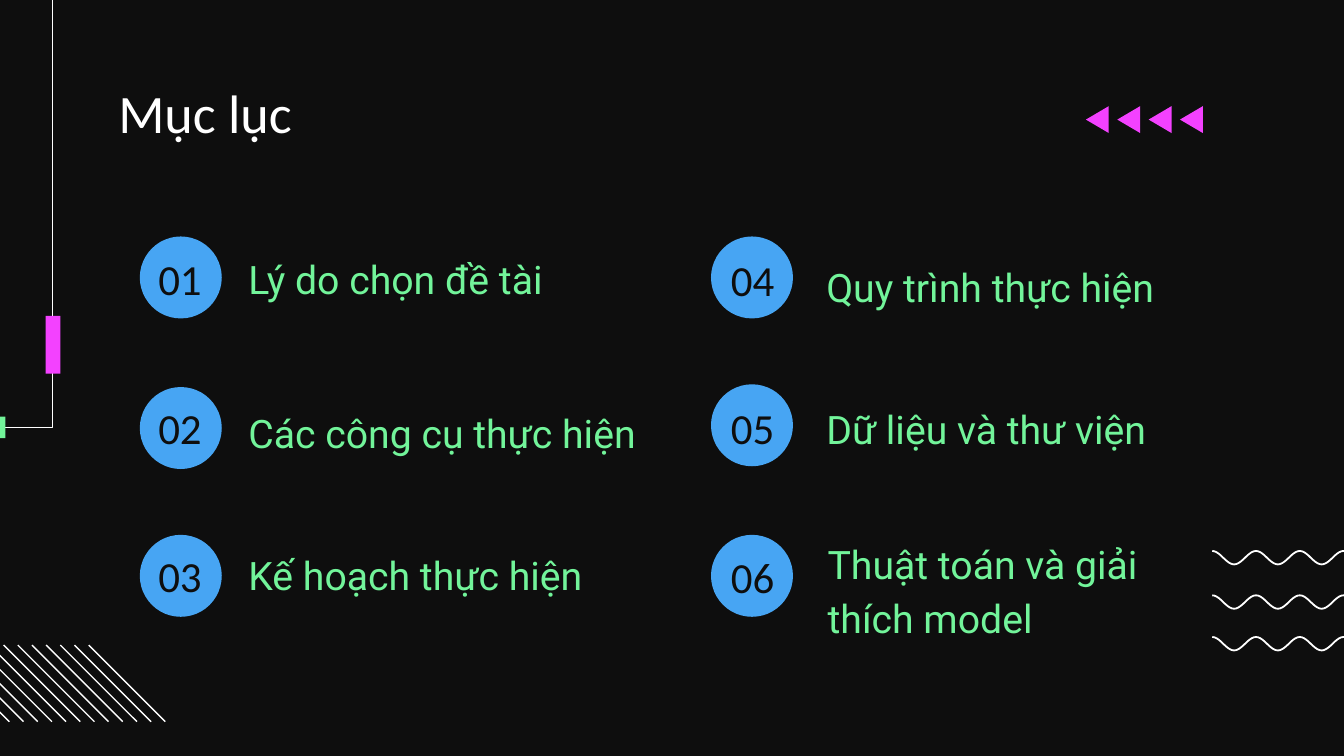
import math

from lxml import etree
from pptx import Presentation
from pptx.dml.color import RGBColor
from pptx.enum import shapes, text
from pptx.oxml.ns import qn
from pptx.util import Inches, Pt

COLORS = {
    "dark": "0E0E0E",
    "white": "FFFFFF",
    "blue": "47A5F3",
    "green": "72F49A",
    "pink": "F341FF",
}

TITLE = "Mục lục"
# number, topic, column, circle top, number top, topic left, topic top
TOPICS = [
    ("01", "Lý do chọn đề tài", 0, 1.76, 1.68, 1.75, 1.85),
    ("02", "Các công cụ thực hiện", 0, 2.88, 2.79, 1.75, 2.99),
    ("03", "Kế hoạch thực hiện", 0, 3.98, 3.89, 1.75, 4.05),
    ("04", "Quy trình thực hiện", 1, 1.76, 1.69, 6.05, 1.91),
    ("05", "Dữ liệu và thư viện", 1, 2.86, 2.79, 6.05, 2.96),
    ("06", "Thuật toán và giải thích model", 1, 3.98, 3.90, 6.06, 3.97),
]
CIRCLE_LEFTS = [1.04, 5.29]
NUMBER_LEFTS = [0.89, 5.15]
CIRCLE_SIZE = 0.61

WAVE_TOPS = [4.1, 4.43, 4.74]
WAVE_LEFT, WAVE_WIDTH, WAVE_HEIGHT = 9.02, 1.14, 0.1
HALF_WAVES, STEPS = 7, 10


def color(name):
    return RGBColor.from_string(COLORS[name])


def add_fill_shape(page, kind, left, top, width, height, fill):
    shape = page.shapes.add_shape(
        kind, Inches(left), Inches(top), Inches(width), Inches(height))
    shape.shadow.inherit = False
    shape.fill.solid()
    shape.fill.fore_color.rgb = color(fill)
    shape.line.fill.background()


def add_outline(page, points, closed=False):
    points = [(Inches(x), Inches(y)) for x, y in points]
    builder = page.shapes.build_freeform(*points[0])
    builder.add_line_segments(points[1:], close=closed)
    shape = builder.convert_to_shape()
    shape.shadow.inherit = False
    return shape


def add_open_line(page, points, width):
    shape = add_outline(page, points)
    shape.fill.background()
    shape.line.color.rgb = color("white")
    shape.line.width = Pt(width)


def add_waves(page):
    count = HALF_WAVES * STEPS
    for top in WAVE_TOPS:
        points = [
            (WAVE_LEFT + WAVE_WIDTH * i / count,
             top + WAVE_HEIGHT * (1 - math.cos(math.pi * i / STEPS)) / 2)
            for i in range(count + 1)
        ]
        add_open_line(page, points, 0.95)


def add_hatching(page):
    left, right, top, size, count = -0.5, 0.66, 4.8, 0.57, 12
    gap = (right - left) / (count - 1)
    for i in range(count):
        x = left + i * gap
        line = page.shapes.add_connector(
            shapes.MSO_CONNECTOR.STRAIGHT,
            Inches(x), Inches(top), Inches(x + size), Inches(top + size))
        line.line.color.rgb = color("white")
        line.line.width = Pt(0.75)
        etree.SubElement(line._element.spPr, qn("a:effectLst"))


def add_frame(page):
    add_open_line(page, [(-3.93, 3.18), (0.39, 3.18), (0.39, -0.22)], 0.75)
    square = shapes.MSO_SHAPE.RECTANGLE
    add_fill_shape(page, square, -0.12, 3.1, 0.16, 0.16, "green")
    add_fill_shape(page, square, 0.34, 2.35, 0.11, 0.43, "pink")


def add_arrows(page):
    left, right, top, width, height, count = 8.08, 8.78, 0.79, 0.17, 0.2, 4
    gap = (right - left) / (count - 1)
    for i in reversed(range(count)):
        x = left + i * gap
        arrow = add_outline(
            page,
            [(x + width, top), (x, top + height / 2), (x + width, top + height)],
            closed=True)
        arrow.fill.solid()
        arrow.fill.fore_color.rgb = color("pink")
        arrow.line.fill.background()


def write(box, place, words, size, font, ink, align=text.PP_ALIGN.LEFT, inset_top=0):
    """Place a text holder, fill it with one run and return its paragraph."""
    box.left, box.top, box.width, box.height = [Inches(v) for v in place]
    frame = box.text_frame
    frame.word_wrap = True
    frame.auto_size = text.MSO_AUTO_SIZE.NONE
    frame.vertical_anchor = text.MSO_ANCHOR.TOP
    frame.margin_left = frame.margin_right = frame.margin_bottom = Inches(0.1)
    frame.margin_top = Inches(inset_top)
    para = frame.paragraphs[0]
    para.alignment = align
    span = para.add_run()
    span.text = words
    span.font.size = Pt(size)
    span.font.name = font
    span.font.color.rgb = color(ink)
    return para


def add_topic(page, number, topic, column, circle_top, number_top, left, top):
    add_fill_shape(page, shapes.MSO_SHAPE.OVAL, CIRCLE_LEFTS[column], circle_top,
                   CIRCLE_SIZE, CIRCLE_SIZE, "blue")
    number_box = page.shapes.add_textbox(0, 0, 0, 0)
    write(number_box, (NUMBER_LEFTS[column], number_top, 0.9, 0.61), number,
          23, "Calibri", "dark", text.PP_ALIGN.CENTER, 0.2)
    topic_box = page.shapes.add_textbox(0, 0, 0, 0)
    para = write(topic_box, (left, top, 3.16, 0.39), topic, 21, "Roboto", "green")
    para.line_spacing = 1.15
    para.space_after = Pt(12)


def main():
    deck = Presentation()
    deck.slide_width = Inches(10)
    deck.slide_height = Inches(10) * 9 // 16
    page = deck.slides.add_slide(deck.slide_layouts.get_by_name("Title Only"))
    page.background.fill.solid()
    page.background.fill.fore_color.rgb = color("dark")

    add_waves(page)
    add_hatching(page)
    add_frame(page)
    write(page.shapes.title, (0.78, 0.59, 8.44, 0.46), TITLE, 29, "Calibri", "white")
    for topic in TOPICS:
        add_topic(page, *topic)
    add_arrows(page)
    deck.save("out.pptx")


if __name__ == "__main__":
    main()
